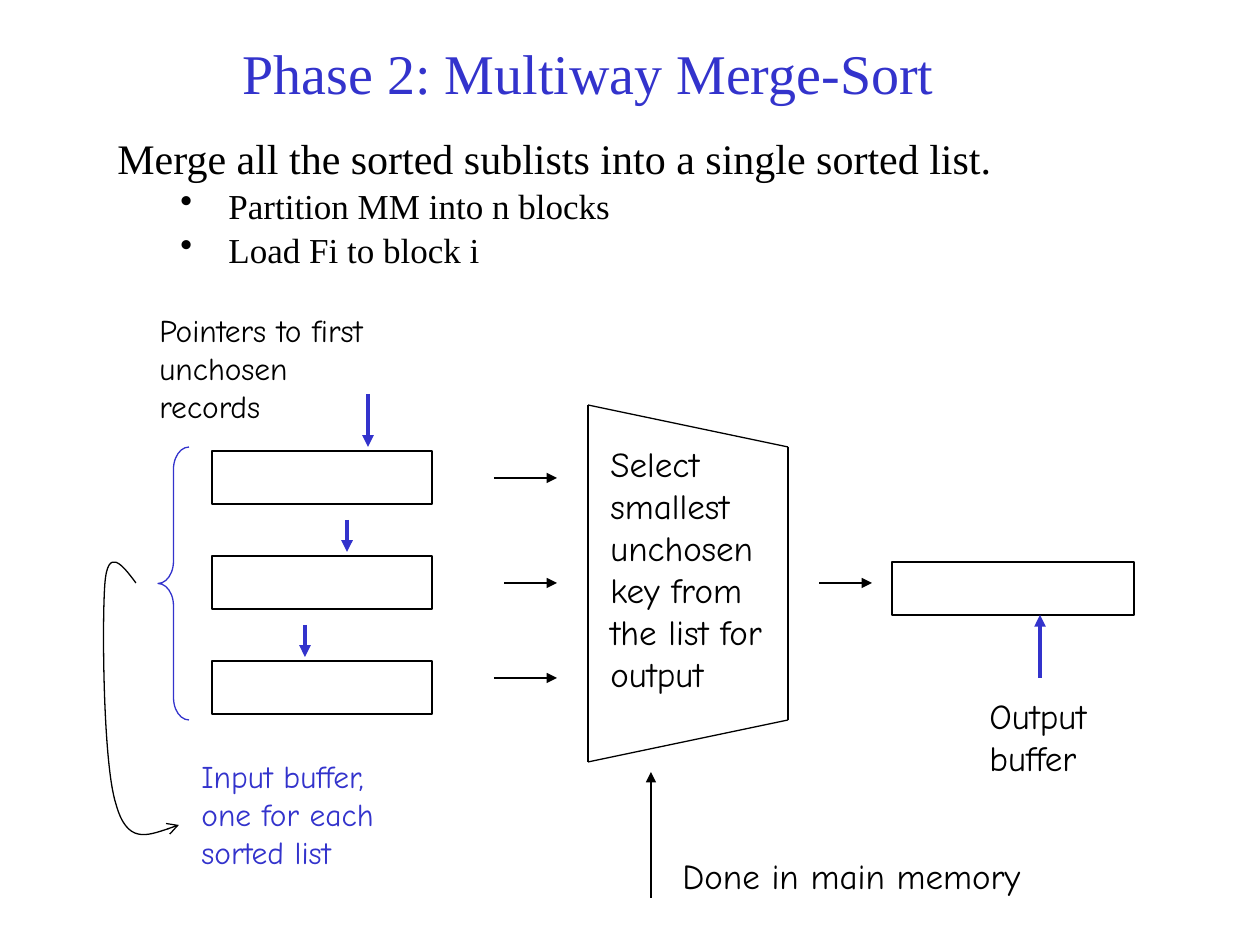
from itertools import pairwise
from lxml import etree
from pptx import Presentation, util as u
from pptx.dml.color import RGBColor
from pptx.enum import shapes, text
from pptx.oxml.ns import qn

PX = 914400 / 126
COLORS = {"ink": "000000", "accent": "3333CC"}
SERIF, HAND = "Times New Roman", "Comic Neue"


def px(*lengths):
    """Turn pixel lengths into EMU."""
    return [round(length * PX) for length in lengths]


def format_paragraph(paragraph, font, size, color="ink"):
    """Left-align a paragraph and format its runs."""
    paragraph.alignment = text.PP_ALIGN.LEFT
    for run in paragraph.runs:
        run.font.name = font
        run.font.size = u.Pt(size)
        run.font.color.rgb = RGBColor.from_string(COLORS[color])


def format_line(shape, color="ink", width=0.75, arrowhead=None):
    """Colour an outline, drop its shadow and add an end arrowhead."""
    shape.line.color.rgb = RGBColor.from_string(COLORS[color])
    shape.line.width = u.Pt(width)
    properties = shape._element.spPr
    if properties.find(qn("a:effectLst")) is None:
        etree.SubElement(properties, qn("a:effectLst"))
    if arrowhead:
        outline = properties.find(qn("a:ln"))
        etree.SubElement(outline, qn("a:tailEnd"), type=arrowhead)


def set_title(slide, title, box):
    """Place and format the title placeholder."""
    shape = slide.shapes.title
    shape.left, shape.top, shape.width, shape.height = px(*box)
    frame = shape.text_frame
    frame.text = title
    frame.word_wrap = False
    frame.auto_size = text.MSO_AUTO_SIZE.SHAPE_TO_FIT_TEXT
    frame.vertical_anchor = text.MSO_ANCHOR.TOP
    format_paragraph(frame.paragraphs[0], SERIF, 32, "accent")


def add_label(slide, label, box, size=20, color="ink", font=HAND, wrap=True):
    """Add a text box and return its frame."""
    frame = slide.shapes.add_textbox(*px(*box)).text_frame
    frame.text = label
    frame.word_wrap = wrap
    frame.auto_size = text.MSO_AUTO_SIZE.SHAPE_TO_FIT_TEXT
    format_paragraph(frame.paragraphs[0], font, size, color)
    return frame


def add_bullet(frame, label):
    """Append a second-level bullet with a hanging indent."""
    paragraph = frame.add_paragraph()
    paragraph.text = label
    paragraph.level = 1
    paragraph.space_before = u.Pt(1)
    format_paragraph(paragraph, SERIF, 20)
    properties = paragraph._p.get_or_add_pPr()
    margin, indent = px(111, -48)
    properties.set("marL", str(margin))
    properties.set("indent", str(indent))
    etree.SubElement(properties, qn("a:buChar"), char="•")


def add_outline(slide, preset, box, color="ink"):
    """Add an unfilled preset shape."""
    shape = slide.shapes.add_shape(preset, *px(*box))
    shape.shadow.inherit = False
    shape.fill.background()
    format_line(shape, color)
    return shape


def add_line(slide, start, end, color="ink", width=0.75, arrowhead=None):
    """Add a straight line, with an arrowhead if one is named."""
    connector = slide.shapes.add_connector(
        shapes.MSO_CONNECTOR.STRAIGHT, *px(*start, *end))
    format_line(connector, color, width, arrowhead)


def add_curve(slide, points):
    """Add an open curve of cubic pieces that ends in an arrowhead."""
    builder = slide.shapes.build_freeform(*points[0], scale=PX)
    builder.add_line_segments(points[1:], close=False)
    shape = builder.convert_to_shape()
    shape.shadow.inherit = False
    shape.fill.background()
    format_line(shape, arrowhead="arrow")
    segments = list(shape._element.iter(qn("a:lnTo")))
    outline = segments[0].getparent()
    for first in range(0, len(segments), 3):
        cubic = etree.SubElement(outline, qn("a:cubicBezTo"))
        for segment in segments[first:first + 3]:
            cubic.append(segment[0])
            outline.remove(segment)


def add_input_buffers(slide):
    """Draw the input buffers, their pointers and their brace."""
    add_label(slide, "Pointers to first unchosen records",
              (147, 305, 242, 126), 18)
    for row, (x, length) in enumerate([(368, 53), (347, 32), (305, 32)]):
        top = 451 + 105 * row
        add_outline(slide, shapes.MSO_SHAPE.RECTANGLE, (212, top, 220, 53))
        add_line(slide, (x, top - 4 - length), (x, top - 4),
                 "accent", 2.25, "triangle")
    brace = add_outline(slide, shapes.MSO_SHAPE.LEFT_BRACE,
                        (158, 447, 31, 273), "accent")
    brace.adjustments[0] = 0.72
    add_label(slide, "Input buffer, one for each sorted list",
              (189, 751, 231, 126), 18, "accent")
    add_curve(slide, [(136, 583), (122, 564), (108, 547), (105, 583),
                      (102, 620), (103, 764), (116, 804),
                      (127, 844), (154, 834), (179, 825)])


def add_selector(slide):
    """Draw the selection step and the arrows around it."""
    corners = [(588, 405), (788, 447), (788, 720), (588, 762)]
    for start, end in pairwise(corners + corners[:1]):
        add_line(slide, start, end)
    add_label(slide, "Select smallest unchosen key from the list for output",
              (598, 436, 179, 306))
    for start, end, y in [(494, 557, 478), (504, 557, 583),
                          (494, 557, 678), (819, 872, 583)]:
        add_line(slide, (start, y), (end, y), arrowhead="triangle")
    add_line(slide, (651, 898), (651, 772), arrowhead="triangle")
    add_label(slide, "Done in main memory", (670, 848, 367, 54), wrap=False)


def add_output_buffer(slide):
    """Draw the output buffer with its pointer and label."""
    add_outline(slide, shapes.MSO_SHAPE.RECTANGLE, (892, 562, 242, 53))
    add_line(slide, (1040, 678), (1040, 615), "accent", 2.25, "triangle")
    add_label(slide, "Output buffer", (977, 688, 189, 97))


def main():
    """Build the slide and save it."""
    presentation = Presentation()
    presentation.slide_width, presentation.slide_height = px(1260, 945)
    slide = presentation.slides.add_slide(presentation.slide_layouts[5])
    set_title(slide, "Phase 2: Multiway Merge-Sort", (230, 32, 724, 80))
    frame = add_label(
        slide, "Merge all the sorted sublists into a single sorted list.",
        (105, 126, 1092, 199), 24, font=SERIF)
    for label in ("Partition MM into n blocks", "Load Fi to block i"):
        add_bullet(frame, label)
    add_input_buffers(slide)
    add_selector(slide)
    add_output_buffer(slide)
    presentation.save("out.pptx")


if __name__ == "__main__":
    main()
